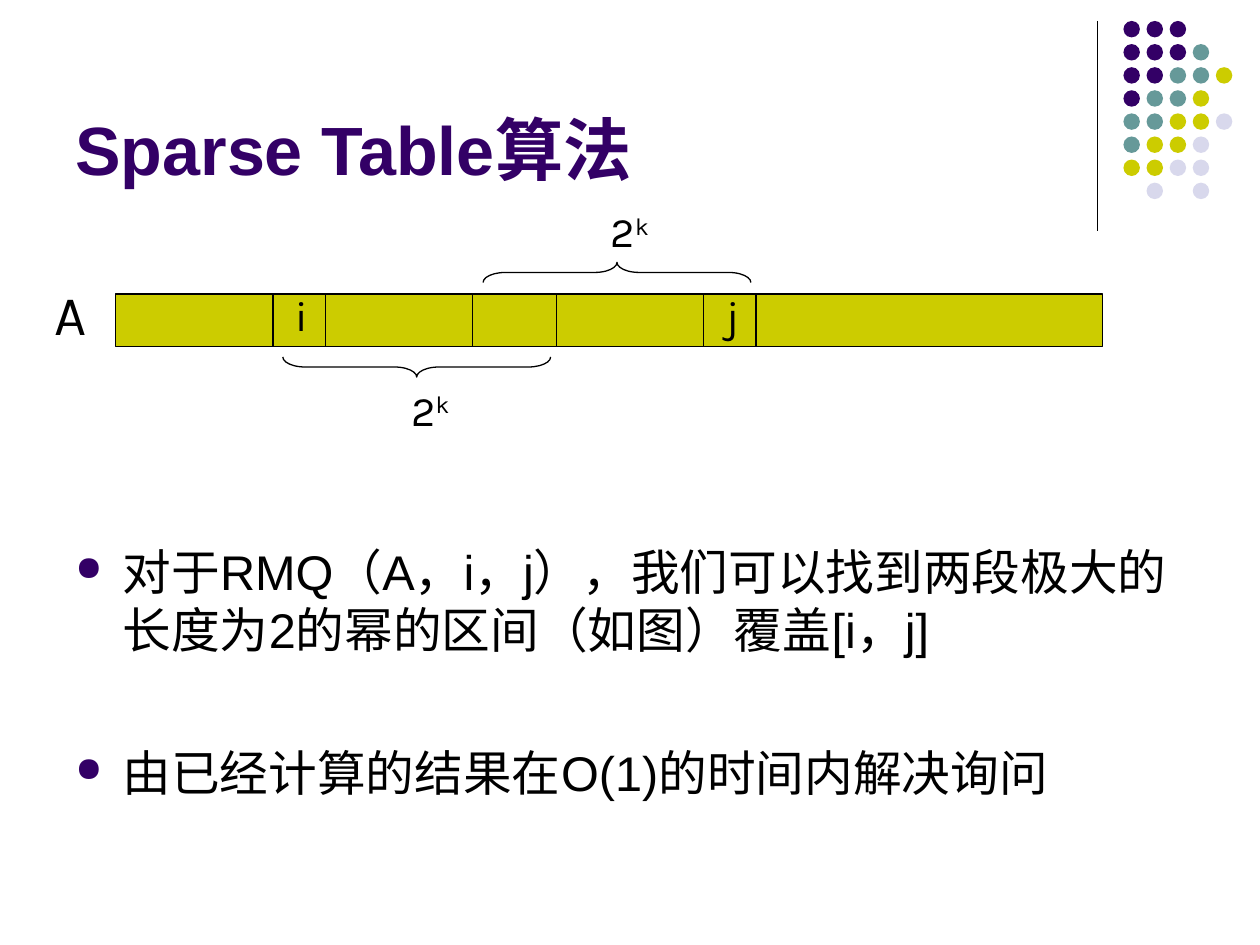
"""Build the Sparse Table slide with its array diagram and notes."""
from dataclasses import dataclass
from itertools import accumulate

from lxml.etree import SubElement as Sub
from pptx import Presentation as Deck
from pptx.dml.color import RGBColor as RGB
from pptx.enum.shapes import MSO_CONNECTOR as Link, MSO_SHAPE as Kind
from pptx.enum.text import MSO_ANCHOR as Anchor
from pptx.oxml.ns import qn
from pptx.util import Pt


@dataclass(frozen=True)
class Theme:
    ink: str = "000000"
    plum: str = "330066"
    teal: str = "669999"
    lime: str = "CCCC00"
    pale: str = "D8D8EC"
    main: str = "Arial"
    mark: str = "Karla"
    title: float = 39
    body: float = 27.8
    name: float = 32
    label: float = 24
    line: float = 0.74


@dataclass(frozen=True)
class Brace:
    left: float
    top: float
    turn: int
    text_left: float
    text_top: float


@dataclass(frozen=True)
class Label:
    text: str
    left: float
    top: float
    wide: float
    high: float
    size: float


LOOK = Theme()
BRACES = [Brace(232.4, 133.2, 270, 228, 216), Brace(346.8, 79.2, 90, 342, 114)]
LABELS = [
    Label("i", 162, 162, 18, 36, LOOK.label),
    Label("j", 408, 162, 18, 36, LOOK.label),
    Label("A", 24, 156, 42, 46, LOOK.name),
]
CELLS = [90, 30, 84, 48, 84, 30, 198]
DOTS = ["PPP", "PPPT", "PPTTY", "PTTY", "TTYYL", "TYYL", "YYLL", " L L"]
HUES = {"P": LOOK.plum, "T": LOOK.teal, "Y": LOOK.lime, "L": LOOK.pale}
NOTES = [
    "对于RMQ（A，i，j），我们可以找到两段极大的长度为2的幂的区间（如图）覆盖[i，j]",
    "由已经计算的结果在O(1)的时间内解决询问",
]

deck = Deck()
deck.slide_width, deck.slide_height = Pt(720), Pt(540)
page = deck.slides.add_slide(deck.slide_layouts[6])


def draw(kind: Kind, left: float, top: float, wide: float, high: float,
         fill: str = "", line: str = ""):
    """Add a flat shape with an optional fill and outline."""
    item = page.shapes.add_shape(kind, Pt(left), Pt(top), Pt(wide), Pt(high))
    item.shadow.inherit = False
    if fill:
        item.fill.solid()
        item.fill.fore_color.rgb = RGB.from_string(fill)
    else:
        item.fill.background()
    if line:
        item.line.color.rgb = RGB.from_string(line)
        item.line.width = Pt(LOOK.line)
    else:
        item.line.fill.background()
    return item


def frame(left: float, top: float, wide: float, high: float,
          anchor: Anchor = Anchor.TOP):
    """Add a wrapping text box and return its text frame."""
    box = page.shapes.add_textbox(Pt(left), Pt(top), Pt(wide), Pt(high))
    area = box.text_frame
    area.word_wrap = True
    area.vertical_anchor = anchor
    return area


def write(para, text: str, *, size: float, font: str = LOOK.main,
          color: str = LOOK.ink, bold: bool = False, rise: int = 0) -> None:
    """Add a formatted run to a paragraph."""
    run = para.add_run()
    run.text = text
    run.font.size = Pt(size)
    run.font.name = font
    run.font.bold = bold
    run.font.color.rgb = RGB.from_string(color)
    if rise:
        run.font._element.set("baseline", str(rise * 1000))


def bullet(para) -> None:
    """Give a paragraph a hanging round bullet."""
    props = para._p.get_or_add_pPr()
    props.set("marL", str(Pt(27)))
    props.set("indent", str(-Pt(27)))
    hue = Sub(props, qn("a:buClr"))
    Sub(hue, qn("a:srgbClr"), val=LOOK.plum)
    Sub(props, qn("a:buSzPct"), val="70000")
    Sub(props, qn("a:buChar"), char="●")


def dots() -> None:
    """Draw the corner rule and its grid of dots."""
    rule = page.shapes.add_connector(
        Link.STRAIGHT, Pt(627), Pt(12), Pt(627), Pt(132))
    rule.line.color.rgb = RGB.from_string(LOOK.ink)
    rule.line.width = Pt(LOOK.line)
    Sub(rule._element.spPr, qn("a:effectLst"))
    for row, keys in enumerate(DOTS):
        for col, key in enumerate(keys):
            if key in HUES:
                draw(Kind.OVAL, 642 + 13.2 * col, 12 + 13.2 * row, 9.4, 9.4,
                     fill=HUES[key])


def notes() -> None:
    """Write the title and the bulleted notes."""
    head = frame(36, 9.4, 594, 102, Anchor.BOTTOM)
    write(head.paragraphs[0], "Sparse Table算法", size=LOOK.title,
          color=LOOK.plum, bold=True)
    area = frame(36, 306, 648, 176.4)
    for num, text in enumerate(NOTES):
        para = area.add_paragraph() if num else area.paragraphs[0]
        para.space_before = Pt(48 if num else 7.5)
        bullet(para)
        write(para, text, size=LOOK.body)


def array() -> None:
    """Draw the array cells, their labels and the two braces."""
    for left, wide in zip(accumulate(CELLS, initial=66), CELLS):
        draw(Kind.RECTANGLE, left, 168, wide, 30, LOOK.lime, LOOK.ink)
    for tag in LABELS:
        area = frame(tag.left, tag.top, tag.wide, tag.high)
        write(area.paragraphs[0], tag.text, size=tag.size, font=LOOK.mark)
    for span in BRACES:
        item = draw(Kind.LEFT_BRACE, span.left, span.top, 11.5, 153,
                    line=LOOK.ink)
        item.rotation = span.turn
        item.adjustments[0] = 1.11
        para = frame(span.text_left, span.text_top, 66, 36).paragraphs[0]
        for text, rise in (("2", 0), ("k", 30)):
            write(para, text, size=LOOK.label, font=LOOK.mark, rise=rise)


dots()
notes()
array()
deck.save("out.pptx")
